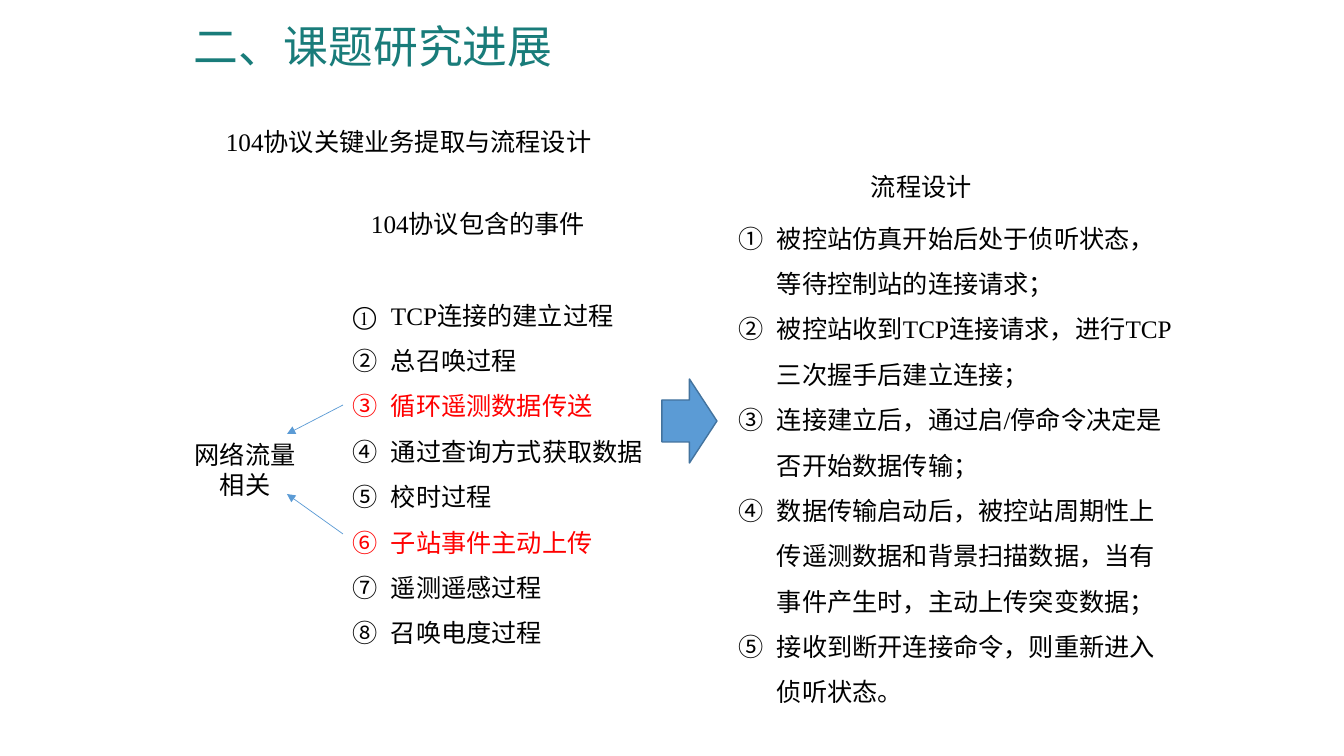
from lxml.etree import SubElement
from pptx import Presentation
from pptx.dml.color import RGBColor
from pptx.enum.shapes import MSO_CONNECTOR, MSO_SHAPE
from pptx.enum.text import MSO_ANCHOR, PP_ALIGN
from pptx.oxml.ns import qn
from pptx.util import Pt

# Content
TITLE = "二、课题研究进展"
SUBTITLE = "104协议关键业务提取与流程设计"
EVENTS_HEADING = "104协议包含的事件"
EVENTS = [
    "TCP连接的建立过程",
    "总召唤过程",
    "循环遥测数据传送",
    "通过查询方式获取数据",
    "校时过程",
    "子站事件主动上传",
    "遥测遥感过程",
    "召唤电度过程",
]
TRAFFIC_EVENTS = {"循环遥测数据传送", "子站事件主动上传"}
TRAFFIC_LABEL = "网络流量相关"
FLOW_HEADING = "流程设计"
FLOW_STEPS = [
    "被控站仿真开始后处于侦听状态，等待控制站的连接请求；",
    "被控站收到TCP连接请求，进行TCP三次握手后建立连接；",
    "连接建立后，通过启/停命令决定是否开始数据传输；",
    "数据传输启动后，被控站周期性上传遥测数据和背景扫描数据，当有事件产生时，主动上传突变数据；",
    "接收到断开连接命令，则重新进入侦听状态。",
]
TRAFFIC_ARROWS = [((343, 405), (287, 434)), ((343, 534), (287, 494))]

# Style
FONT = "Times New Roman"
TEAL = RGBColor(0x19, 0x7C, 0x7A)
BLACK = RGBColor(0, 0, 0)
RED = RGBColor(0xFF, 0, 0)
BLUE = RGBColor(0x5B, 0x9B, 0xD5)
DARK_BLUE = RGBColor(0x43, 0x73, 0x9E)
EMU_PER_PX = 914400 / 100.8
NUMBER_INDENT = 38


def px(*lengths):
    return [round(length * EMU_PER_PX) for length in lengths]


presentation = Presentation()
presentation.slide_width, presentation.slide_height = px(1344, 756)
slide = presentation.slides.add_slide(presentation.slide_layouts[6])


def add_text(lines, box, size=18, color=BLACK, highlighted=(), align=None,
             anchor=MSO_ANCHOR.TOP, spacing=None, wrap=True, numbered=False):
    frame = slide.shapes.add_textbox(*px(*box)).text_frame
    frame.word_wrap = wrap
    frame.vertical_anchor = anchor
    frame.text = "\n".join(lines)
    for paragraph in frame.paragraphs:
        paragraph.alignment = align
        paragraph.line_spacing = spacing
        font = paragraph.runs[0].font
        font.name, font.size = FONT, Pt(size)
        font.color.rgb = RED if paragraph.text in highlighted else color
        if numbered:
            properties = paragraph._p.get_or_add_pPr()
            indent, = px(NUMBER_INDENT)
            properties.set("marL", str(indent))
            properties.set("indent", str(-indent))
            SubElement(properties, qn("a:buFont"), typeface="+mj-lt")
            SubElement(properties, qn("a:buAutoNum"), type="circleNumDbPlain")


# Title and headings
add_text([TITLE], (184, 18, 750, 62), size=32, color=TEAL,
         anchor=MSO_ANCHOR.MIDDLE, spacing=0.9)
for heading, box in [
    (SUBTITLE, (216, 121, 398, 40)),
    (EVENTS_HEADING, (361, 203, 243, 40)),
    (FLOW_HEADING, (861, 166, 122, 40)),
]:
    add_text([heading], box, wrap=False)

# Numbered lists
add_text(EVENTS, (343, 280, 320, 377), highlighted=TRAFFIC_EVENTS,
         spacing=1.5, numbered=True)
add_text(FLOW_STEPS, (729, 203, 459, 514), spacing=1.5, numbered=True)

# Traffic label with its arrows
add_text([TRAFFIC_LABEL], (181, 434, 128, 72), align=PP_ALIGN.CENTER)
for start, end in TRAFFIC_ARROWS:
    traffic_arrow = slide.shapes.add_connector(
        MSO_CONNECTOR.STRAIGHT, *px(*start, *end))
    traffic_arrow.line.color.rgb = BLUE
    traffic_arrow.line.width = Pt(0.5)
    SubElement(traffic_arrow.line._get_or_add_ln(), qn("a:tailEnd"), type="triangle")
    SubElement(traffic_arrow._element.spPr, qn("a:effectLst"))

# Block arrow from events to flow
flow_arrow = slide.shapes.add_shape(MSO_SHAPE.RIGHT_ARROW, *px(662, 379, 55, 84))
flow_arrow.shadow.inherit = False
flow_arrow.fill.solid()
flow_arrow.fill.fore_color.rgb = BLUE
flow_arrow.line.color.rgb = DARK_BLUE
flow_arrow.line.width = Pt(1)

presentation.save("out.pptx")
